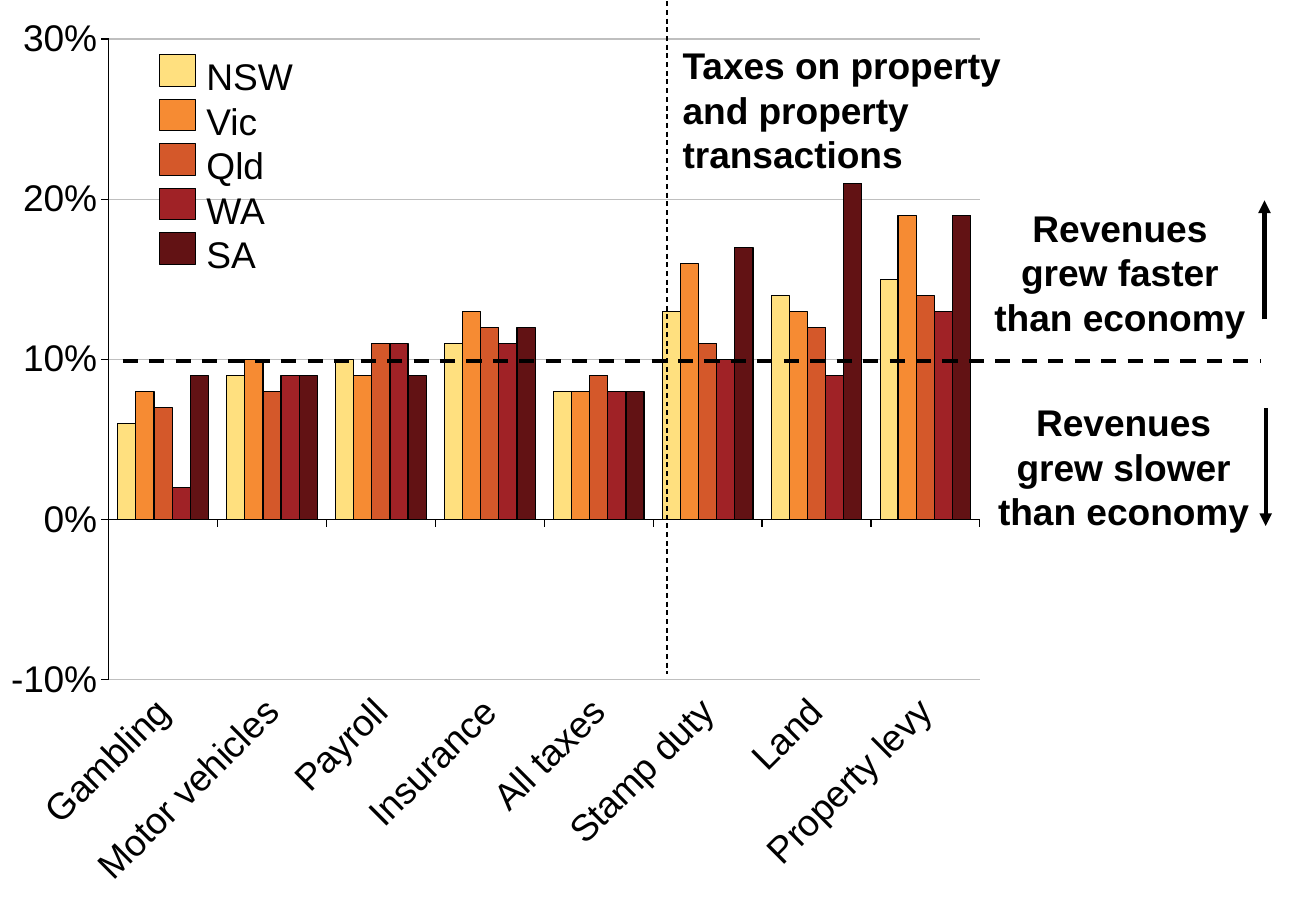
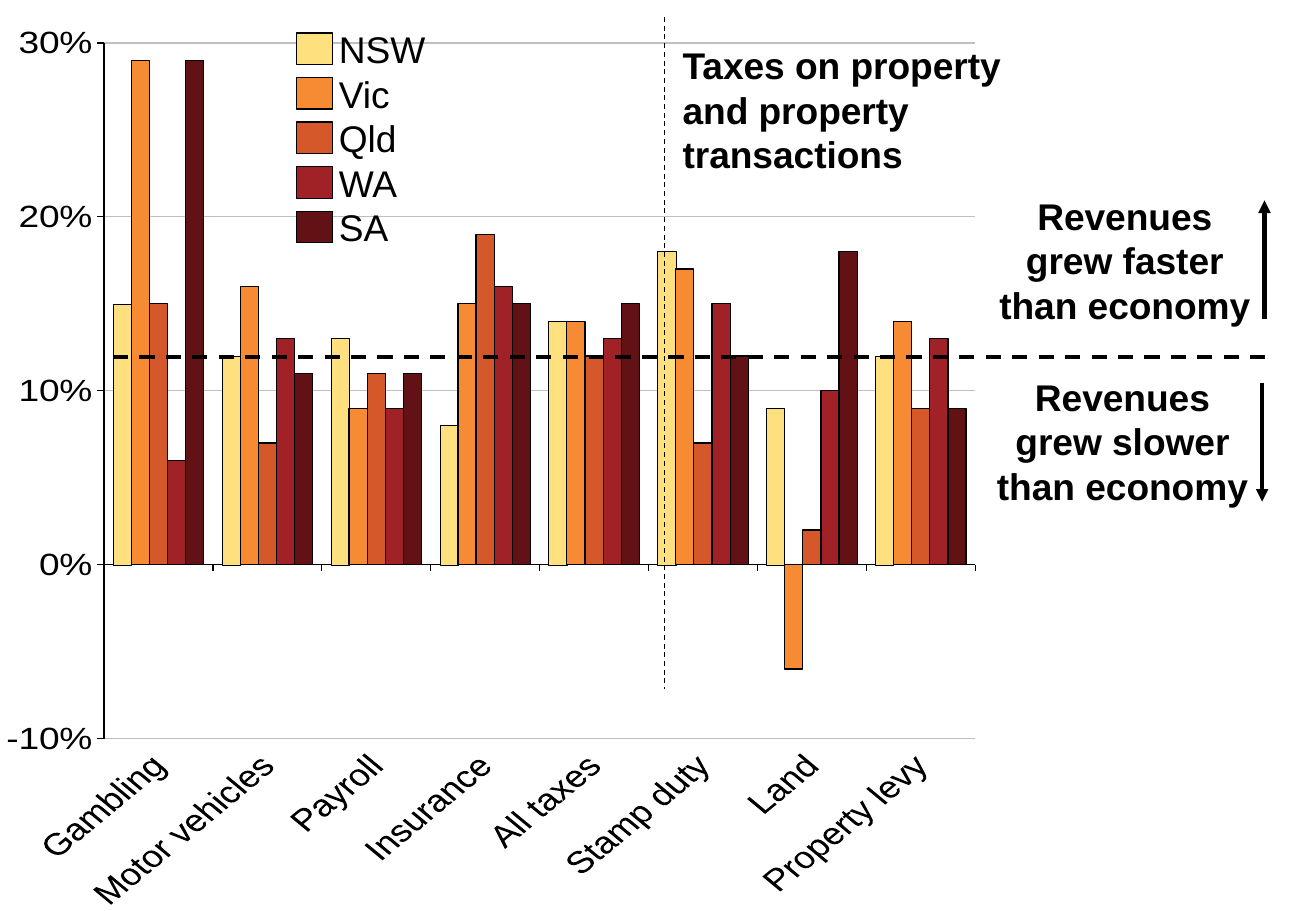
from dataclasses import dataclass

from pptx import Presentation
from pptx.chart.data import CategoryChartData
from pptx.dml.color import RGBColor
from pptx.enum.chart import XL_CHART_TYPE, XL_TICK_LABEL_POSITION, XL_TICK_MARK
from pptx.enum.dml import MSO_LINE
from pptx.enum.shapes import MSO_CONNECTOR, MSO_SHAPE
from pptx.enum.text import MSO_AUTO_SIZE, PP_ALIGN
from pptx.oxml import parse_xml
from pptx.oxml.ns import nsdecls, qn
from pptx.util import Pt

CLUSTERED = XL_CHART_TYPE.COLUMN_CLUSTERED
LABELS_LOW = XL_TICK_LABEL_POSITION.LOW
TICK_OUT, TICK_NONE = XL_TICK_MARK.OUTSIDE, XL_TICK_MARK.NONE
DASH = MSO_LINE.DASH
STRAIGHT = MSO_CONNECTOR.STRAIGHT
RECTANGLE = MSO_SHAPE.RECTANGLE
GROW = MSO_AUTO_SIZE.SHAPE_TO_FIT_TEXT
LEFT, CENTER = PP_ALIGN.LEFT, PP_ALIGN.CENTER


@dataclass(frozen=True)
class Theme:
    font: str = "Arial"
    ink: str = "000000"
    grid: str = "BFBFBF"
    states: tuple = ("FFE07F", "F68B33", "D4582A", "A02226", "621214")
    chart_size: float = 18
    text_size: float = 22
    line_pitch: float = 26.4
    first_outline: float = 0.25
    thin: float = 0.75
    threshold: float = 2.25
    arrow: float = 2.5


THEME = Theme()

# Content
STATES = ["NSW", "Vic", "Qld", "WA", "SA"]
TAXES = ["Gambling", "Motor vehicles", "Payroll", "Insurance", "All taxes",
         "Stamp duty", "Land", "Property levy"]
PROPERTY_NOTE = "Taxes on property and property transactions"
FASTER_NOTE = "Revenues grew faster than economy"
SLOWER_NOTE = "Revenues grew slower than economy"

# Boxes are (left, top, width, height); lines are (x1, y1, x2, y2); in points
PERIODS = [
    {
        "growth": [
            [0.06, 0.09, 0.10, 0.11, 0.08, 0.13, 0.14, 0.15],
            [0.08, 0.10, 0.09, 0.13, 0.08, 0.16, 0.13, 0.19],
            [0.07, 0.08, 0.11, 0.12, 0.09, 0.11, 0.12, 0.14],
            [0.02, 0.09, 0.11, 0.11, 0.08, 0.10, 0.09, 0.13],
            [0.09, 0.09, 0.09, 0.12, 0.08, 0.17, 0.21, 0.19],
        ],
        "chart": (2, 0, 780, 540),
        "plot_height": 0.703,
        "swatches": (94.4, 32.4),
        "legend": (122.4, 31.7),
        "divider": (395.3, 0.7, 395.3, 399.6),
        "threshold": (72.7, 213.8, 747.4, 213.8),
        "faster": (580.3, 118.1),
        "slower": (582.5, 233.3),
        "down_arrow": (750.2, 241.9, 750.2, 311.8),
    },
    {
        "growth": [
            [0.15, 0.12, 0.13, 0.08, 0.14, 0.18, 0.09, 0.12],
            [0.29, 0.16, 0.09, 0.15, 0.14, 0.17, -0.06, 0.14],
            [0.15, 0.07, 0.11, 0.19, 0.12, 0.07, 0.02, 0.09],
            [0.06, 0.13, 0.09, 0.16, 0.13, 0.15, 0.10, 0.13],
            [0.29, 0.11, 0.11, 0.15, 0.15, 0.12, 0.18, 0.09],
        ],
        "chart": (-0.7, 6.5, 780, 533.5),
        "plot_height": 0.933,
        "swatches": (175.7, 19.6),
        "legend": (200.9, 15.8),
        "divider": (393.8, 10.1, 393.8, 408.2),
        "threshold": (67, 211.7, 755.3, 211.7),
        "faster": (583.2, 110.9),
        "slower": (581.8, 218.2),
        "down_arrow": (748.1, 226.8, 748.1, 297.4),
    },
]
UP_ARROW = (749.5, 189.4, 749.5, 118.8)
PROPERTY_BOX = (404.6, 25.2, 211.7, 79.9)
SIDE_NOTE_SIZE = (167, 87.1)
LEGEND_SIZE = (60.5, 133.2)
SWATCH_SIZE = (21.6, 18.7)


def points(lengths):
    return [Pt(length) for length in lengths]


def style_line(line, width, color=THEME.ink):
    line.color.rgb = RGBColor.from_string(color)
    line.width = Pt(width)


def style_font(font, size, bold=False):
    font.name = THEME.font
    font.size = Pt(size)
    font.bold = bold
    font.color.rgb = RGBColor.from_string(THEME.ink)


def add_text(slide, box, lines, bold=False, align=LEFT, inset=None):
    frame = slide.shapes.add_textbox(*points(box)).text_frame
    frame.word_wrap = True
    frame.auto_size = GROW
    if inset is not None:
        frame.margin_left = frame.margin_right = Pt(inset)
        frame.margin_top = frame.margin_bottom = Pt(inset)
    frame.text = "\n".join(lines)
    for paragraph in frame.paragraphs:
        paragraph.alignment = align
        paragraph.line_spacing = Pt(THEME.line_pitch)
        for run in paragraph.runs:
            style_font(run.font, THEME.text_size, bold)


def add_line(slide, ends, width, dashed=False, arrow=False):
    connector = slide.shapes.add_connector(STRAIGHT, *points(ends))
    style_line(connector.line, width)
    if dashed:
        connector.line.dash_style = DASH
    if arrow:
        connector.line._get_or_add_ln().append(
            parse_xml(f'<a:tailEnd {nsdecls("a")} type="triangle"/>'))
    connector._element.spPr.append(
        parse_xml(f'<a:effectLst {nsdecls("a")}/>'))


def set_plot_area(chart, x, y, width, height):
    plot_area = chart._chartSpace.chart.plotArea
    for layout in plot_area.findall(qn("c:layout")):
        plot_area.remove(layout)
    plot_area.insert(0, parse_xml(
        f'<c:layout {nsdecls("c")}><c:manualLayout>'
        '<c:layoutTarget val="inner"/>'
        '<c:xMode val="edge"/><c:yMode val="edge"/>'
        f'<c:x val="{x}"/><c:y val="{y}"/>'
        f'<c:w val="{width}"/><c:h val="{height}"/>'
        '</c:manualLayout></c:layout>'))


def add_growth_chart(slide, period):
    data = CategoryChartData(number_format="0%")
    data.categories = TAXES
    for state, values in zip(STATES, period["growth"]):
        data.add_series(state, values)
    chart = slide.shapes.add_chart(
        CLUSTERED, *points(period["chart"]), data).chart
    chart.has_legend = False
    chart.has_title = False
    style_font(chart.font, THEME.chart_size)
    set_plot_area(chart, 0.08, 0.043, 0.662, period["plot_height"])

    # Columns
    plot = chart.plots[0]
    plot.vary_by_categories = False
    plot.gap_width = 100
    plot.overlap = 0
    for index, (series, color) in enumerate(zip(plot.series, THEME.states)):
        series.invert_if_negative = False
        series.format.fill.solid()
        series.format.fill.fore_color.rgb = RGBColor.from_string(color)
        style_line(series.format.line,
                   THEME.thin if index else THEME.first_outline)

    # Axes
    tax_axis, growth_axis = chart.category_axis, chart.value_axis
    for axis in (tax_axis, growth_axis):
        axis.major_tick_mark = TICK_OUT
        axis.minor_tick_mark = TICK_NONE
        style_line(axis.format.line, THEME.thin)
        style_font(axis.tick_labels.font, THEME.text_size)
    tax_axis.tick_label_position = LABELS_LOW
    tax_axis._element.txPr.bodyPr.set("rot", "-2700000")
    growth_axis.minimum_scale = -0.1
    growth_axis.maximum_scale = 0.3
    growth_axis.major_unit = 0.1
    growth_axis.tick_labels.number_format = "0%"
    growth_axis.tick_labels.number_format_is_linked = False
    growth_axis.has_major_gridlines = True
    style_line(growth_axis.major_gridlines.format.line, THEME.thin, THEME.grid)


def add_state_key(slide, period):
    left, top = period["swatches"]
    for row, color in enumerate(THEME.states):
        swatch = slide.shapes.add_shape(RECTANGLE, *points(
            (left, top + row * THEME.line_pitch, *SWATCH_SIZE)))
        swatch.shadow.inherit = False
        swatch.fill.solid()
        swatch.fill.fore_color.rgb = RGBColor.from_string(color)
        style_line(swatch.line, THEME.thin)
    add_text(slide, period["legend"] + LEGEND_SIZE, STATES, inset=0)


def build_slide(deck, period):
    slide = deck.slides.add_slide(deck.slide_layouts[6])
    add_growth_chart(slide, period)
    add_state_key(slide, period)

    # Property divider and economy growth threshold
    add_line(slide, period["divider"], THEME.thin, dashed=True)
    add_line(slide, period["threshold"], THEME.threshold, dashed=True)

    # Notes and arrows on either side of the threshold
    for side, note, arrow in (("faster", FASTER_NOTE, UP_ARROW),
                              ("slower", SLOWER_NOTE, period["down_arrow"])):
        add_text(slide, period[side] + SIDE_NOTE_SIZE, [note],
                 bold=True, align=CENTER)
        add_line(slide, arrow, THEME.arrow, arrow=True)
    add_text(slide, PROPERTY_BOX, [PROPERTY_NOTE], bold=True, inset=0)


def main():
    deck = Presentation()
    deck.slide_width, deck.slide_height = Pt(780), Pt(540)
    for period in PERIODS:
        build_slide(deck, period)
    deck.save("out.pptx")


if __name__ == "__main__":
    main()
